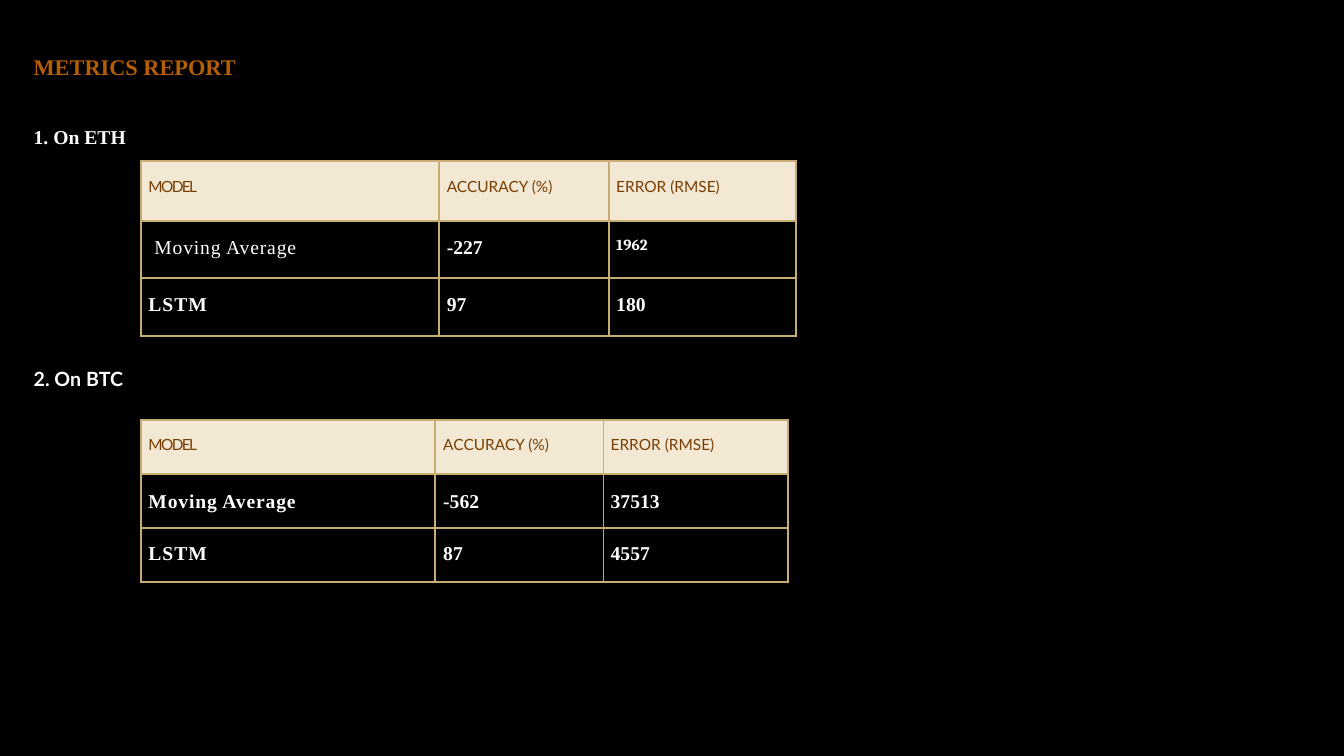
import pptx
import pptx.util
import pptx.dml.color
import pptx.enum.text
from lxml import etree
from pptx.util import Cm, Pt

COLOURS = {
    "background": "000000",
    "title": "B45E05",
    "body": "FFFFFF",
    "header text": "783F04",
    "header fill": "F2E8D3",
    "border": "C7AC73",
}
SERIF = "Times New Roman"
HEADER = {"name": "Lato", "size": Pt(11), "bold": False}
VALUE = {"name": SERIF, "size": Pt(14), "bold": True}
DRAWING = "http://schemas.openxmlformats.org/drawingml/2006/main"

COLUMN_TITLES = [
    ("MODEL", HEADER, -1.2),
    ("ACCURACY (%)", HEADER, 0),
    ("ERROR (RMSE)", HEADER, 0),
]
ETH_ROWS = [
    COLUMN_TITLES,
    [("Moving Average", {**VALUE, "bold": False}, 0.6), ("-227", VALUE, 0),
     ("1962", {**VALUE, "name": "Cambria", "size": Pt(11)}, 0)],
    [("LSTM", VALUE, 0.7), ("97", VALUE, 0), ("180", VALUE, 0)],
]
BTC_ROWS = [
    COLUMN_TITLES,
    [("Moving Average", VALUE, 0.6), ("-562", VALUE, 0), ("37513", VALUE, 0)],
    [("LSTM", VALUE, 0.7), ("87", VALUE, 0), ("4557", VALUE, 0)],
]


def rgb(name):
    return pptx.dml.color.RGBColor.from_string(COLOURS[name])


def set_values(target, values):
    for name, value in values.items():
        setattr(target, name, value)


def add_span(para, text, font, colour, spacing=0):
    """Add a run; spacing is the letter spacing in points."""
    span = para.add_run()
    span.text = text
    set_values(span.font, font)
    span.font.color.rgb = rgb(colour)
    if spacing:
        span._r.get_or_add_rPr().set("spc", str(round(spacing * 100)))


def add_text(page, left, top, width, height, lines):
    """Add a text box; each line is (text, font, colour, space before)."""
    box = page.shapes.add_textbox(Cm(left), Cm(top), Cm(width), Cm(height))
    frame = box.text_frame
    set_values(frame, {
        "word_wrap": True, "margin_left": Cm(0.03), "margin_top": Cm(0.03),
        "margin_right": 0, "margin_bottom": 0,
        "auto_size": pptx.enum.text.MSO_AUTO_SIZE.SHAPE_TO_FIT_TEXT,
    })
    for index, (text, font, colour, space_before) in enumerate(lines):
        para = frame.add_paragraph() if index else frame.paragraphs[0]
        para.space_before = Pt(space_before)
        add_span(para, text, font, colour)


def add_borders(cell):
    properties = cell._tc.get_or_add_tcPr()
    for side in ("lnL", "lnR", "lnT", "lnB"):
        line = etree.SubElement(properties, f"{{{DRAWING}}}{side}", w=str(Pt(1.5)))
        fill = etree.SubElement(line, f"{{{DRAWING}}}solidFill")
        etree.SubElement(fill, f"{{{DRAWING}}}srgbClr", val=COLOURS["border"])


def fill_cell(cell, content, is_header, margin_left, margin_top):
    set_values(cell, {
        "margin_left": Cm(margin_left), "margin_top": Cm(margin_top),
        "margin_right": 0, "margin_bottom": 0,
    })
    add_borders(cell)
    if is_header:
        cell.fill.solid()
        cell.fill.fore_color.rgb = rgb("header fill")
    else:
        cell.fill.background()
    text, font, spacing = content
    colour = "header text" if is_header else "body"
    add_span(cell.text_frame.paragraphs[0], text, font, colour, spacing)


def add_metrics(page, top, widths, heights, margins, rows, model_indent=0):
    """Add a metrics table; model_indent shifts the first model's name."""
    table = page.shapes.add_table(
        len(rows), len(widths), Cm(3.56), Cm(top), Cm(sum(widths)), Cm(sum(heights))
    ).table
    set_values(table, {"first_row": False, "horz_banding": False})
    for column, width in zip(table.columns, widths):
        column.width = Cm(width)
    for row_index, row in enumerate(rows):
        table.rows[row_index].height = Cm(heights[row_index])
        for column_index, content in enumerate(row):
            margin_left = 0.2 if column_index == 1 else 0.18
            if (row_index, column_index) == (1, 0):
                margin_left += model_indent
            fill_cell(table.cell(row_index, column_index), content,
                      row_index == 0, margin_left, margins[row_index])


def main():
    deck = pptx.Presentation()
    set_values(deck, {"slide_width": Cm(33.87), "slide_height": Cm(19.05)})
    page = deck.slides.add_slide(deck.slide_layouts[6])
    page.background.fill.solid()
    page.background.fill.fore_color.rgb = rgb("background")

    add_metrics(page, 4.06, [7.5, 4.29, 4.72], [1.5, 1.45, 1.45],
                [0.41, 0.41, 0.41], ETH_ROWS, model_indent=0.15)
    add_metrics(page, 10.59, [7.41, 4.24, 4.65], [1.35, 1.37, 1.35],
                [0.38, 0.43, 0.38], BTC_ROWS)
    add_text(page, 0.82, 1.3, 5.46, 2.49, [
        ("METRICS REPORT", {**VALUE, "size": Pt(16)}, "title", 1),
        ("1. On ETH", VALUE, "body", 32),
    ])
    add_text(page, 0.82, 9.22, 2.51, 0.64, [
        ("2. On BTC", {**VALUE, "name": "Lato"}, "body", 1),
    ])
    deck.save("out.pptx")


if __name__ == "__main__":
    main()
